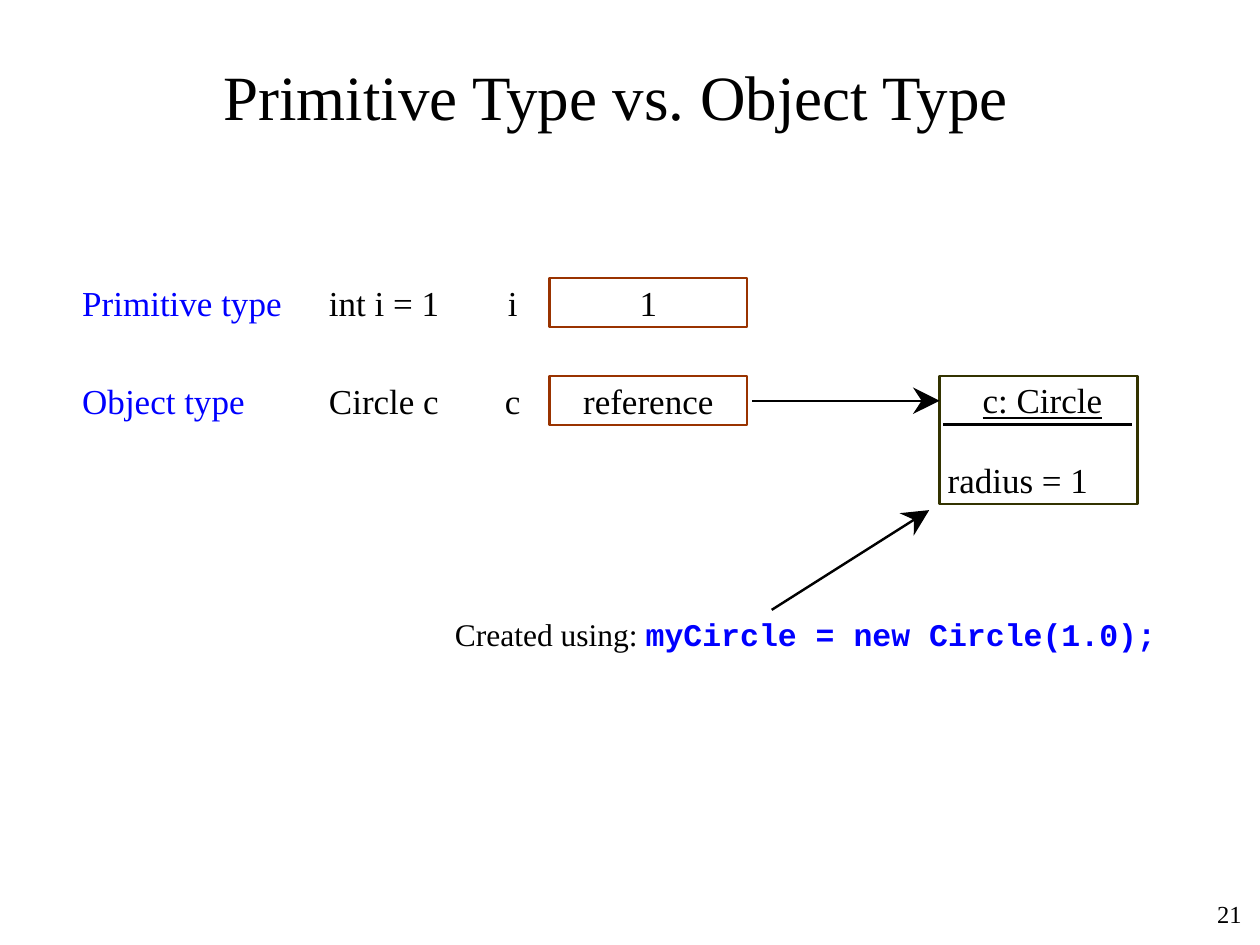
import math

from lxml import etree
from pptx import Presentation
from pptx.dml.color import RGBColor
from pptx.enum.shapes import MSO_CONNECTOR, MSO_SHAPE
from pptx.enum.text import MSO_ANCHOR, MSO_AUTO_SIZE, PP_ALIGN
from pptx.oxml.ns import qn
from pptx.util import Pt

RECTANGLE = MSO_SHAPE.RECTANGLE
STRAIGHT = MSO_CONNECTOR.STRAIGHT
MIDDLE = MSO_ANCHOR.MIDDLE
NO_AUTOFIT = MSO_AUTO_SIZE.NONE
LEFT, CENTER, RIGHT = PP_ALIGN.LEFT, PP_ALIGN.CENTER, PP_ALIGN.RIGHT

SERIF, MONO = "Times New Roman", "Courier New"
BLACK, WHITE, BLUE = "000000", "FFFFFF", "0000FF"
BROWN, OLIVE = "993300", "333300"
LINE_WIDTH = 1.4

ROW_HEIGHT = 28
FIRST_ROW, ROW_PITCH = 159, 56
TYPE_X, CODE_X, NAME_X, VALUE_X, OBJECT_X = 47, 188, 283, 314, 537
BOX_WIDTH = 113
HEAD_LENGTH, HEAD_NOTCH, HEAD_HALF_WIDTH = 15.3, 10.3, 7.6


def colour(hex_text):
    return RGBColor.from_string(hex_text)


def format_span(span, size, hex_text=BLACK, font=SERIF, bold=False, underline=False):
    span.font.name = font
    span.font.size = Pt(size)
    span.font.bold = bold
    span.font.underline = underline
    span.font.color.rgb = colour(hex_text)


def write(shape, text, size=20, hex_text=BLACK, align=LEFT, underline=False):
    """Put one line of text in a shape, without margins and centred in height."""
    frame = shape.text_frame
    frame.text = text
    frame.word_wrap = True
    frame.auto_size = NO_AUTOFIT
    frame.vertical_anchor = MIDDLE
    frame.margin_left = frame.margin_right = frame.margin_top = frame.margin_bottom = 0
    para = frame.paragraphs[0]
    para.alignment = align
    format_span(para.runs[0], size, hex_text, underline=underline)
    return para


def add_label(page, text, left, top, width, height=ROW_HEIGHT, **style):
    label = page.shapes.add_textbox(Pt(left), Pt(top), Pt(width), Pt(height))
    return write(label, text, **style)


def add_box(page, left, top, height, border):
    box = page.shapes.add_shape(RECTANGLE, Pt(left), Pt(top), Pt(BOX_WIDTH), Pt(height))
    box.shadow.inherit = False
    box.fill.solid()
    box.fill.fore_color.rgb = colour(WHITE)
    box.line.color.rgb = colour(border)
    box.line.width = Pt(LINE_WIDTH)
    return box


def add_line(shapes, start, end):
    line = shapes.add_connector(STRAIGHT, *(Pt(value) for value in (*start, *end)))
    line.line.color.rgb = colour(BLACK)
    line.line.width = Pt(LINE_WIDTH)
    etree.SubElement(line._element.spPr, qn("a:effectLst"))


def add_arrow(page, start, tip):
    """Group a line with a notched head that points along it."""
    angle = math.atan2(tip[1] - start[1], tip[0] - start[0])

    def head_point(back, side):
        return (tip[0] - back * math.cos(angle) - side * math.sin(angle),
                tip[1] - back * math.sin(angle) + side * math.cos(angle))

    notch = head_point(HEAD_NOTCH, 0)
    barbs = [head_point(HEAD_LENGTH, side) for side in (HEAD_HALF_WIDTH, -HEAD_HALF_WIDTH)]
    group = page.shapes.add_group_shape()
    add_line(group.shapes, start, notch)
    outline = group.shapes.build_freeform(Pt(tip[0]), Pt(tip[1]))
    outline.add_line_segments([(Pt(x), Pt(y)) for x, y in (barbs[0], notch, barbs[1])])
    head = outline.convert_to_shape()
    head.shadow.inherit = False
    head.fill.solid()
    head.fill.fore_color.rgb = colour(BLACK)
    head.line.fill.background()


def add_title(page, text):
    title = page.shapes.title
    title.left, title.top, title.width, title.height = Pt(18), Pt(28), Pt(668), Pt(53)
    write(title, text, size=36, align=CENTER)


def add_variable_row(page, top, kind, code, name, value):
    add_label(page, kind, TYPE_X, top, 130, hex_text=BLUE)
    add_label(page, code, CODE_X, top, 80)
    add_label(page, name, NAME_X, top, 20, align=CENTER)
    write(add_box(page, VALUE_X, top, ROW_HEIGHT, BROWN), value, align=CENTER)


def add_object(page, top, heading, field):
    add_box(page, OBJECT_X, top, 73, OLIVE)
    add_label(page, heading, OBJECT_X + 24.5, top - 0.5, 72, underline=True)
    add_line(page.shapes, (OBJECT_X + 2, top + 27.5), (OBJECT_X + 110, top + 27.5))
    add_label(page, field, OBJECT_X + 4.5, top + 45, 90)


def main():
    deck = Presentation()
    deck.slide_width, deck.slide_height = Pt(720), Pt(540)
    page = deck.slides.add_slide(deck.slide_layouts[5])
    add_title(page, "Primitive Type vs. Object Type")

    rows = [("Primitive type", "int i = 1", "i", "1"),
            ("Object type", "Circle c", "c", "reference")]
    for index, row in enumerate(rows):
        add_variable_row(page, FIRST_ROW + index * ROW_PITCH, *row)

    object_top = FIRST_ROW + ROW_PITCH
    add_object(page, object_top, "c: Circle", "radius = 1")
    add_arrow(page, (430, object_top + ROW_HEIGHT / 2), (OBJECT_X, object_top + ROW_HEIGHT / 2))
    add_arrow(page, (441, 348.5), (531, 291.5))

    para = add_label(page, "Created using: ", 260, 351.5, 426, 22, size=18)
    statement = para.add_run()
    statement.text = "myCircle = new Circle(1.0);"
    format_span(statement, 18, BLUE, MONO, bold=True)

    add_label(page, "21", 567, 504, 142.5, 36, size=14, align=RIGHT)
    deck.save("out.pptx")


if __name__ == "__main__":
    main()
